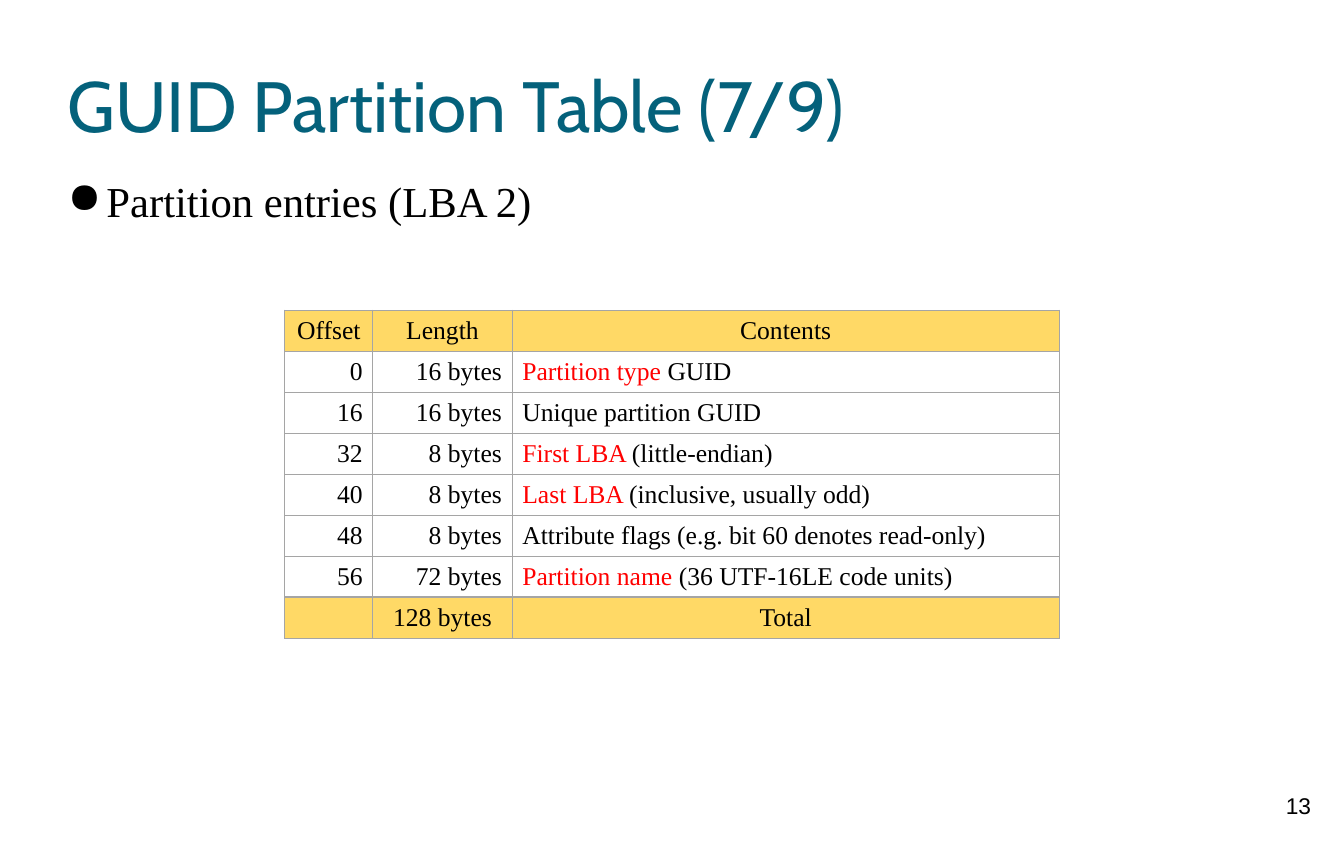
"""Build the slide on GUID partition table entries."""
import lxml.etree
import pptx
import pptx.dml.color
import pptx.enum.text
import pptx.oxml.ns
import pptx.util

Inches = pptx.util.Inches
ALIGN = pptx.enum.text.PP_ALIGN
MIDDLE = pptx.enum.text.MSO_ANCHOR.MIDDLE
SERIF = "Times New Roman"
BLACK, RED, TEAL = "000000", "FF0000", "04617B"
YELLOW, WHITE, GRAY = "FFD966", "FFFFFF", "A5A5A5"


def color(value):
    return pptx.dml.color.RGBColor.from_string(value)


def add_run(paragraph, text, size, font_name, font_color):
    run = paragraph.add_run()
    run.text = text
    run.font.size = pptx.util.Pt(size)
    run.font.name = font_name
    run.font.color.rgb = color(font_color)


presentation = pptx.Presentation()
presentation.slide_width = Inches(13.12)
presentation.slide_height = Inches(8.27)
slide = presentation.slides.add_slide(presentation.slide_layouts[5])

title = slide.shapes.title
title.left, title.top = Inches(0.66), Inches(0.33)
title.width, title.height = Inches(11.81), Inches(1.38)
body = slide.shapes.add_textbox(Inches(0.66), Inches(1.71), Inches(11.84), Inches(6.19))
number = slide.shapes.add_textbox(Inches(12.28), Inches(7.63), Inches(0.79), Inches(0.63))

for shape, margin in ((title, 0), (body, 0), (number, 0.1)):
    frame = shape.text_frame
    frame.word_wrap = True
    frame.auto_size = pptx.enum.text.MSO_AUTO_SIZE.NONE
    frame.margin_left = frame.margin_right = Inches(margin)
    frame.margin_top = frame.margin_bottom = Inches(margin)

title.text_frame.vertical_anchor = MIDDLE
title_paragraph = title.text_frame.paragraphs[0]
title_paragraph.alignment = ALIGN.LEFT
add_run(title_paragraph, "GUID Partition Table (7/9)", 50, "Cabin", TEAL)

body_paragraph = body.text_frame.paragraphs[0]
properties = body_paragraph._p.get_or_add_pPr()
properties.set("marL", str(Inches(0.38)))
properties.set("indent", str(-Inches(0.38)))
bullet = lxml.etree.SubElement(properties, pptx.oxml.ns.qn("a:buChar"))
bullet.set("char", "●")
add_run(body_paragraph, "Partition entries (LBA 2)", 30, SERIF, BLACK)

number_paragraph = number.text_frame.paragraphs[0]
number_paragraph.alignment = ALIGN.CENTER
add_run(number_paragraph, "13", 16, "Arial", BLACK)

entries = [
    ("Offset", "Length", "", "Contents"),
    ("0", "16 bytes", "Partition type ", "GUID"),
    ("16", "16 bytes", "", "Unique partition GUID"),
    ("32", "8 bytes", "First LBA ", "(little-endian)"),
    ("40", "8 bytes", "Last LBA ", "(inclusive, usually odd)"),
    ("48", "8 bytes", "", "Attribute flags (e.g. bit 60 denotes read-only)"),
    ("56", "72 bytes", "Partition name ", "(36 UTF-16LE code units)"),
    ("", "128 bytes", "", "Total"),
]
column_widths = (0.86, 1.36, 5.34)
row_height = 0.4
table = slide.shapes.add_table(
    len(entries), len(column_widths), Inches(2.78), Inches(3.03),
    Inches(sum(column_widths)), Inches(row_height * len(entries))).table
table.first_row = table.horz_banding = False
for column, width in zip(table.columns, column_widths):
    column.width = Inches(width)

for row_index, (offset, length, highlight, contents) in enumerate(entries):
    table.rows[row_index].height = Inches(row_height)
    is_band = row_index in (0, len(entries) - 1)
    cell_runs = (
        [(offset, BLACK)],
        [(length, BLACK)],
        [(highlight, RED), (contents, BLACK)],
    )
    for column_index, runs in enumerate(cell_runs):
        cell = table.cell(row_index, column_index)
        cell.vertical_anchor = MIDDLE
        cell.margin_left = cell.margin_right = Inches(0.1)
        cell.margin_top = cell.margin_bottom = Inches(0.05)
        cell_properties = cell._tc.get_or_add_tcPr()
        for side in ("lnL", "lnR", "lnT", "lnB"):
            border = lxml.etree.SubElement(cell_properties, pptx.oxml.ns.qn("a:" + side))
            border.set("w", str(pptx.util.Pt(1)))
            border_fill = lxml.etree.SubElement(border, pptx.oxml.ns.qn("a:solidFill"))
            lxml.etree.SubElement(border_fill, pptx.oxml.ns.qn("a:srgbClr")).set("val", GRAY)
        cell.fill.solid()
        cell.fill.fore_color.rgb = color(YELLOW if is_band else WHITE)
        paragraph = cell.text_frame.paragraphs[0]
        if is_band:
            paragraph.alignment = ALIGN.CENTER
        else:
            paragraph.alignment = (ALIGN.RIGHT, ALIGN.RIGHT, ALIGN.LEFT)[column_index]
        for text, font_color in runs:
            if text:
                add_run(paragraph, text, 18, SERIF, font_color)

presentation.save("out.pptx")
